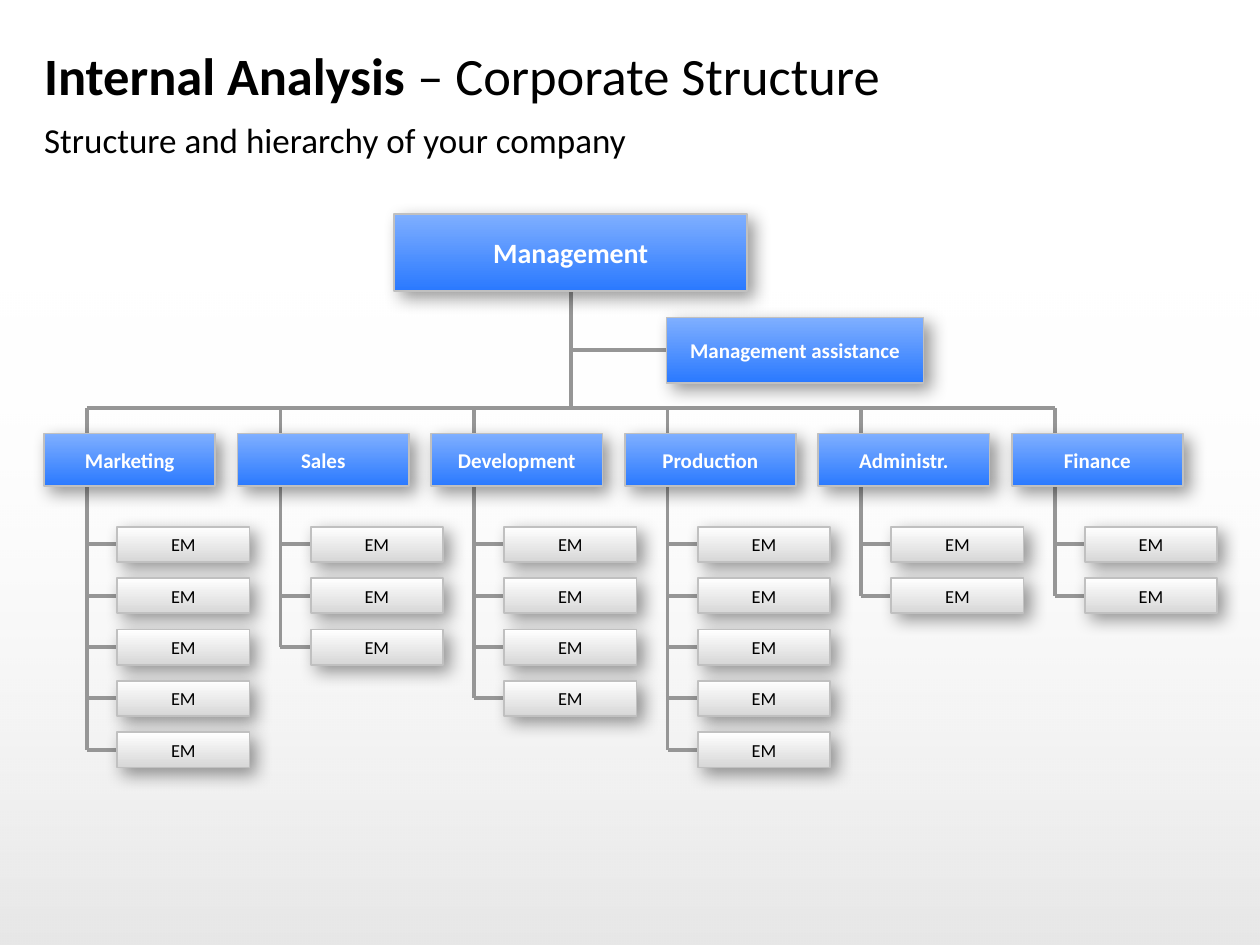
import dataclasses

import lxml.etree
import pptx
import pptx.dml.color
import pptx.enum.shapes
import pptx.enum.text
import pptx.oxml.ns
import pptx.util


@dataclasses.dataclass(frozen=True)
class Theme:
    """Colours, type sizes and line widths of the chart."""
    font: str = "Calibri"
    ink: str = "000000"
    paper: str = "FFFFFF"
    blue: tuple = ("7FAFFF", "2A79FF")
    grey: tuple = ("FFFFFF", "D7D7D7")
    border: str = "C0C0C0"
    link: str = "969696"
    title: float = 30
    subtitle: float = 20
    top: float = 16
    unit: float = 12
    staff: float = 10.5
    border_width: float = 1
    link_width: float = 2.25


THEME = Theme()
WIDTH, HEIGHT = pptx.util.Inches(10), pptx.util.Inches(7.5)
LEFT, COLUMN, ROW = 3.5, 15.36, 5.44
BAR_Y, UNIT_Y, STAFF_Y = 43.2, 45.87, 55.73
UNIT_W, UNIT_H = 13.6, 5.6
STAFF_W, STAFF_H = 10.5, 3.73
SPINE_DX, STAFF_DX = 3.4, 5.8
UNITS = [("Marketing", 5), ("Sales", 3), ("Development", 4),
         ("Production", 5), ("Administr.", 2), ("Finance", 2)]


def rgb(value):
    """Turn a hex string into a colour."""
    return pptx.dml.color.RGBColor.from_string(value)


def place(x, y, w, h):
    """Turn percentages of the slide into lengths."""
    return [round(share * side / 100)
            for share, side in zip((x, y, w, h), (WIDTH, HEIGHT) * 2)]


def add_xml(parent, tag, **attributes):
    """Append a drawing element."""
    return lxml.etree.SubElement(parent, pptx.oxml.ns.qn(tag), attributes)


def set_frame(tf, anchor):
    """Remove the margins and set the vertical anchor."""
    tf.word_wrap = True
    tf.margin_left = tf.margin_right = tf.margin_top = tf.margin_bottom = 0
    tf.vertical_anchor = anchor


def set_font(font, size, color, bold=None):
    """Apply the theme font."""
    font.name = THEME.font
    font.size = pptx.util.Pt(size)
    font.color.rgb = rgb(color)
    font.bold = bold


def add_panel(s, area, colors):
    """Add a rectangle shaded from top to bottom."""
    sp = s.shapes.add_shape(pptx.enum.shapes.MSO_SHAPE.RECTANGLE, *place(*area))
    sp.shadow.inherit = False
    sp.fill.gradient()
    sp.fill.gradient_angle = 270
    for stop, color in zip(sp.fill.gradient_stops, colors):
        stop.color.rgb = rgb(color)
    return sp


def add_backdrop(s):
    """Add the fading shade on the lower part of the slide."""
    sp = add_panel(s, (0, 29.47, 100, 70.53), (THEME.paper, THEME.ink))
    sp.line.fill.background()
    stops = sp.element.spPr.iter(pptx.oxml.ns.qn("a:srgbClr"))
    for color, alpha in zip(list(stops), ("0", "10000")):
        add_xml(color, "a:alpha", val=alpha)


def add_box(s, area, text, size, colors, color, bold=True):
    """Add a labelled box with a border and a soft shadow."""
    sp = add_panel(s, area, colors)
    sp.line.color.rgb = rgb(THEME.border)
    sp.line.width = pptx.util.Pt(THEME.border_width)
    effects = sp.element.spPr.find(pptx.oxml.ns.qn("a:effectLst"))
    shadow = add_xml(effects, "a:outerShdw", blurRad="127000", dist="63500",
                     dir="2700000", algn="tl", rotWithShape="0")
    add_xml(add_xml(shadow, "a:srgbClr", val=THEME.ink), "a:alpha", val="40000")
    set_frame(sp.text_frame, pptx.enum.text.MSO_ANCHOR.MIDDLE)
    p = sp.text_frame.paragraphs[0]
    p.text = text
    p.alignment = pptx.enum.text.PP_ALIGN.CENTER
    set_font(p.font, size, color, bold)


def add_link(s, x1, y1, x2, y2):
    """Add a straight line between two points."""
    line = s.shapes.add_connector(pptx.enum.shapes.MSO_CONNECTOR.STRAIGHT,
                                  *place(x1, y1, x2, y2))
    line.line.color.rgb = rgb(THEME.link)
    line.line.width = pptx.util.Pt(THEME.link_width)
    add_xml(line.element.spPr, "a:effectLst")


def add_heading(s, area, runs, size, anchor):
    """Add a line of heading text from (text, bold) runs."""
    tf = s.shapes.add_textbox(*place(*area)).text_frame
    set_frame(tf, anchor)
    p = tf.paragraphs[0]
    set_font(p.font, size, THEME.ink)
    for text, bold in runs:
        r = p.add_run()
        r.text = text
        r.font.bold = bold


def add_management(s):
    """Add the top of the hierarchy and the bar below it."""
    trunk_x, assist_y = 45.3, 37.07
    add_link(s, LEFT + SPINE_DX, BAR_Y,
             LEFT + SPINE_DX + COLUMN * (len(UNITS) - 1), BAR_Y)
    add_link(s, trunk_x, 30.8, trunk_x, BAR_Y)
    add_link(s, trunk_x, assist_y, 52.9, assist_y)
    add_box(s, (31.3, 22.67, 28, 8.13), "Management", THEME.top,
            THEME.blue, THEME.paper)
    add_box(s, (52.9, 33.6, 20.4, 6.93), "Management assistance", THEME.unit,
            THEME.blue, THEME.paper)


def add_unit(s, column, name, count):
    """Add one department with its staff."""
    x = LEFT + column * COLUMN
    spine_x, staff_x = x + SPINE_DX, x + STAFF_DX
    tops = [STAFF_Y + row * ROW for row in range(count)]
    add_link(s, spine_x, BAR_Y, spine_x, tops[-1] + STAFF_H / 2)
    add_box(s, (x, UNIT_Y, UNIT_W, UNIT_H), name, THEME.unit,
            THEME.blue, THEME.paper)
    for top in tops:
        middle = top + STAFF_H / 2
        add_link(s, spine_x, middle, staff_x, middle)
        add_box(s, (staff_x, top, STAFF_W, STAFF_H), "EM", THEME.staff,
                THEME.grey, THEME.ink, False)


def main():
    """Build the slide and save it."""
    prs = pptx.Presentation()
    prs.slide_width, prs.slide_height = WIDTH, HEIGHT
    s = prs.slides.add_slide(prs.slide_layouts[6])
    add_backdrop(s)
    add_heading(s, (LEFT, 3.47, 92.9, 8.93),
                [("Internal Analysis ", True), ("– Corporate Structure", False)],
                THEME.title, pptx.enum.text.MSO_ANCHOR.MIDDLE)
    add_heading(s, (LEFT, 12.53, 92.9, 4.93),
                [("Structure and hierarchy of your company", False)],
                THEME.subtitle, pptx.enum.text.MSO_ANCHOR.TOP)
    add_management(s)
    for column, (name, count) in enumerate(UNITS):
        add_unit(s, column, name, count)
    prs.save("out.pptx")


if __name__ == "__main__":
    main()
